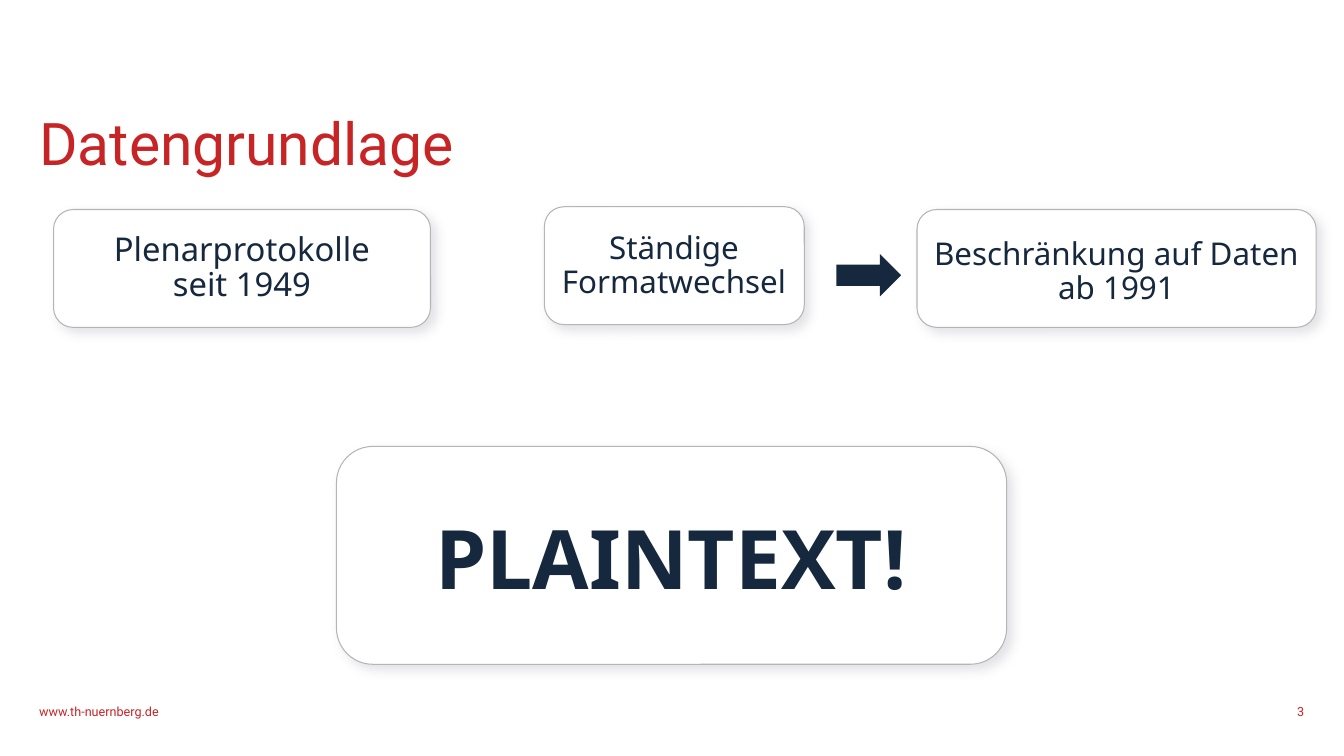
from lxml import etree
from pptx import Presentation
from pptx.dml.color import RGBColor
from pptx.enum.shapes import MSO_SHAPE
from pptx.enum.text import MSO_ANCHOR, MSO_AUTO_SIZE, PP_ALIGN
from pptx.oxml.ns import qn
from pptx.util import Cm, Pt

RED = RGBColor(0xC7, 0x24, 0x26)
NAVY = RGBColor(0x16, 0x28, 0x3D)
WHITE = RGBColor(0xFF, 0xFF, 0xFF)
BORDER = RGBColor(0xB3, 0xB5, 0xB7)
SHADOW = RGBColor(0xAF, 0xAF, 0xBB)

MARGIN_LEFT = 0.99
FOOTER_TOP, FOOTER_HEIGHT = 17.73, 0.38
CARD_HEIGHT = 2.97

NO_INSETS = {f"margin_{side}": 0 for side in ("left", "top", "right", "bottom")}
TITLE_FRAME = {**NO_INSETS, "vertical_anchor": MSO_ANCHOR.BOTTOM}
FOOTER_FRAME = {**NO_INSETS, "vertical_anchor": MSO_ANCHOR.TOP}
NUMBER_FRAME = TITLE_FRAME
LABEL_FRAME = {"vertical_anchor": MSO_ANCHOR.MIDDLE}

TITLE_PARAGRAPH = {"alignment": PP_ALIGN.LEFT, "line_spacing": Pt(43)}
NUMBER_PARAGRAPH = {"alignment": PP_ALIGN.RIGHT}
LABEL_PARAGRAPH = {"alignment": PP_ALIGN.CENTER, "line_spacing": 0.9}

TITLE_FONT = {"name": "Roboto", "size": Pt(42)}
FOOTER_FONT = {"name": "Roboto", "size": Pt(9)}


def set_values(target, values):
    for attribute, value in values.items():
        setattr(target, attribute, value)


def lengths(box):
    return [Cm(value) for value in box]


def write(shape, text, frame, paragraph, font, color):
    """Put one formatted paragraph into a shape."""
    text_frame = shape.text_frame
    set_values(text_frame, {"word_wrap": True, "auto_size": MSO_AUTO_SIZE.NONE, **frame})
    text_frame.text = text
    first = text_frame.paragraphs[0]
    set_values(first, paragraph)
    run_font = first.runs[0].font
    set_values(run_font, font)
    run_font.color.rgb = color


def add_text(slide, box, *content):
    write(slide.shapes.add_textbox(*lengths(box)), *content)


def add_title(slide, text):
    title = slide.shapes.title
    box = lengths((MARGIN_LEFT, 3, 31.88, 1.47))
    set_values(title, dict(zip(("left", "top", "width", "height"), box)))
    write(title, text, TITLE_FRAME, TITLE_PARAGRAPH, TITLE_FONT, RED)


def add_solid(slide, preset, box, fill):
    solid = slide.shapes.add_shape(preset, *lengths(box))
    solid.shadow.inherit = False
    solid.fill.solid()
    solid.fill.fore_color.rgb = fill
    return solid


def add_soft_shadow(shape):
    effects = shape.element.spPr.find(qn("a:effectLst"))
    shadow = etree.SubElement(
        effects, qn("a:outerShdw"), blurRad=str(Pt(8)), dist=str(Pt(5)),
        dir=str(45 * 60000), algn="tl", rotWithShape="0")
    color = etree.SubElement(shadow, qn("a:srgbClr"), val=str(SHADOW))
    etree.SubElement(color, qn("a:alpha"), val="35000")


def add_card(slide, box):
    card = add_solid(slide, MSO_SHAPE.ROUNDED_RECTANGLE, box, WHITE)
    card.line.color.rgb = BORDER
    card.line.width = Pt(0.75)
    add_soft_shadow(card)


def add_label(slide, text, box, size, bold=False):
    font = {"name": "Noto Sans", "size": Pt(size), "bold": bold}
    add_text(slide, box, text, LABEL_FRAME, LABEL_PARAGRAPH, font, NAVY)


def add_arrow(slide, box):
    add_solid(slide, MSO_SHAPE.RIGHT_ARROW, box, NAVY).line.fill.background()


def add_footer(slide, address, number):
    add_text(slide, (MARGIN_LEFT, FOOTER_TOP, 24.99, FOOTER_HEIGHT),
             address, FOOTER_FRAME, {}, FOOTER_FONT, RED)
    add_text(slide, (30.96, FOOTER_TOP, 1.91, FOOTER_HEIGHT),
             number, NUMBER_FRAME, NUMBER_PARAGRAPH, FOOTER_FONT, RED)


def main():
    presentation = Presentation()
    presentation.slide_width = Cm(33.87)
    presentation.slide_height = Cm(19.05)
    slide = presentation.slides.add_slide(presentation.slide_layouts[5])

    add_title(slide, "Datengrundlage")
    add_footer(slide, "www.th-nuernberg.de", "3")

    statements = [
        ("Plenarprotokolle seit 1949", 23.4,
         (1.35, 5.28, 9.5, CARD_HEIGHT), (2.36, 5.69, 7.47, 2.16)),
        ("Ständige Formatwechsel", 22.4,
         (13.72, 5.21, 6.55, CARD_HEIGHT), (13.08, 5.44, 7.82, 2.54)),
        ("Beschränkung auf Daten ab 1991", 22.4,
         (23.11, 5.28, 10.06, CARD_HEIGHT), (23.11, 5.59, 10.06, 2.54)),
    ]
    for text, size, card_box, label_box in statements:
        add_card(slide, card_box)
        add_label(slide, text, label_box, size)
    add_arrow(slide, (21.08, 6.4, 1.63, 1.07))

    add_card(slide, (8.48, 11.25, 16.89, 5.49))
    add_label(slide, "PLAINTEXT!", (9.98, 12.47, 13.87, 3.43), 58.5, bold=True)

    presentation.save("out.pptx")


if __name__ == "__main__":
    main()
